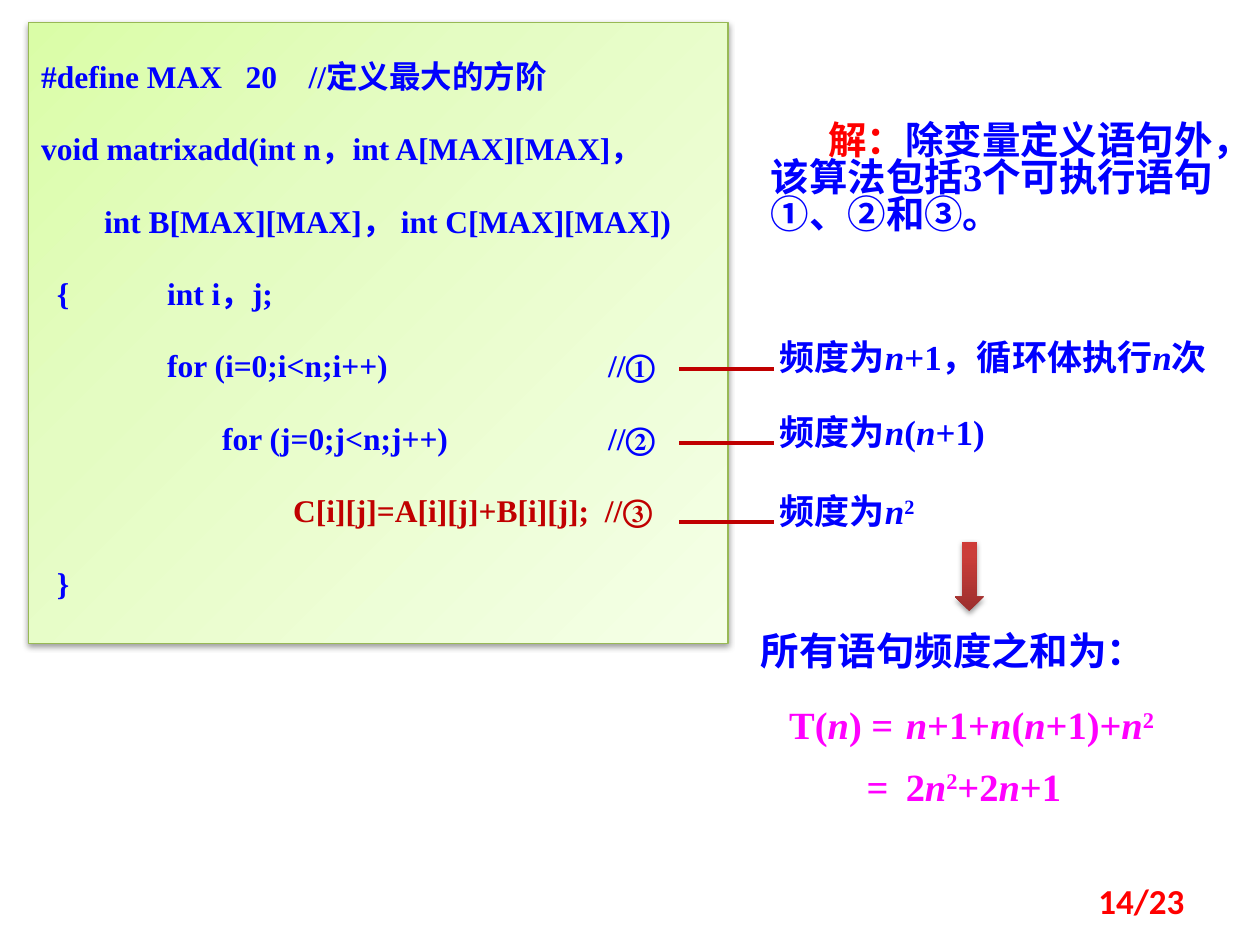
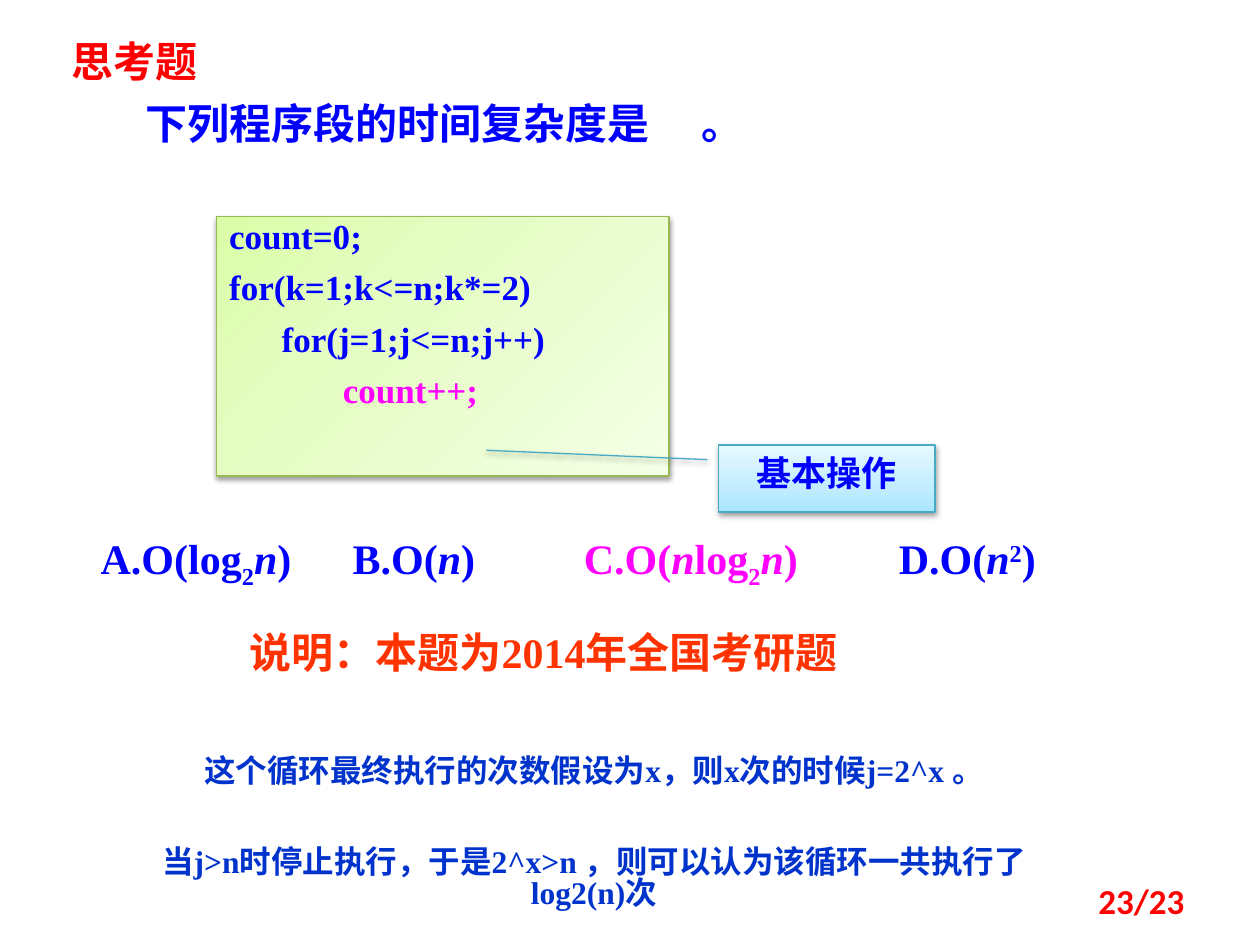
import copy
import itertools

import lxml.etree
import pptx
import pptx.dml.color
import pptx.enum.dml
import pptx.enum.shapes
import pptx.enum.text
import pptx.oxml.ns
import pptx.util

Cm = pptx.util.Cm
Pt = pptx.util.Pt
RGBColor = pptx.dml.color.RGBColor
MSO_SHAPE = pptx.enum.shapes.MSO_SHAPE
PP_ALIGN = pptx.enum.text.PP_ALIGN
MSO_ANCHOR = pptx.enum.text.MSO_ANCHOR
qn = pptx.oxml.ns.qn

BLUE = RGBColor(0x00, 0x00, 0xFF)
NAVY = RGBColor(0x00, 0x33, 0xCC)
RED = RGBColor(0xFF, 0x00, 0x00)
DARK_RED = RGBColor(0xC0, 0x00, 0x00)
ORANGE = RGBColor(0xFF, 0x33, 0x00)
MAGENTA = RGBColor(0xFF, 0x00, 0xFF)
PANEL_LINE = RGBColor(0x98, 0xB9, 0x55)
CALLOUT_LINE = RGBColor(0x46, 0xAA, 0xC5)
PANEL_STOPS = [(0, RGBColor(0xDA, 0xFD, 0xA7)), (0.35, RGBColor(0xE4, 0xFC, 0xC2)),
               (1, RGBColor(0xF5, 0xFF, 0xE7))]
CALLOUT_STOPS = [(0, RGBColor(0xA7, 0xE6, 0xFF)), (0.35, RGBColor(0xC1, 0xED, 0xFF)),
                 (1, RGBColor(0xE7, 0xF8, 0xFF))]
ARROW_STOPS = [(0, RGBColor(0x9C, 0x2F, 0x2D)), (0.8, RGBColor(0xCB, 0x3E, 0x3A)),
               (1, RGBColor(0xCE, 0x3B, 0x37))]

SERIF = "Times New Roman"
CJK = "Noto Sans CJK SC"
PAGE_COUNT = 23
CODE_TABS = [2.54 * step for step in range(1, 6)]
MATH_STYLES = {"n": {"italic": True}, "²": {"baseline": 30}, "₂": {"baseline": -25}}


def add_span(para, text, size=20, color=BLUE, font=SERIF, italic=False,
             underline=False, baseline=0):
    span = para.add_run()
    span.text = text
    span.font.size = Pt(size)
    span.font.bold = True
    span.font.color.rgb = color
    span.font.name = font
    if italic:
        span.font.italic = True
    if underline:
        span.font.underline = True
    properties = span.font._element
    if baseline:
        properties.set("baseline", str(baseline * 1000))
    lxml.etree.SubElement(properties, qn("a:ea"), typeface=CJK)


def add_math(para, text, **style):
    """Write a formula: n is italic, ² and ₂ become raised and lowered 2."""
    for mark, letters in itertools.groupby(text, lambda c: c if c in MATH_STYLES else ""):
        plain = "".join(letters).replace("²", "2").replace("₂", "2")
        add_span(para, plain, **style, **MATH_STYLES.get(mark, {}))


def add_para(box, text="", spacing=0.8, before=10, align=None, indent=0, tabs=(),
             write=add_span, **style):
    """Use the box's empty first paragraph, or append one with space before it."""
    frame = box.text_frame
    para = frame.paragraphs[0]
    if para.runs:
        para = frame.add_paragraph()
        para.space_before = Pt(before)
    else:
        para.space_before = Pt(0)
    para.line_spacing = spacing
    para.alignment = align or PP_ALIGN.LEFT
    properties = para._p.get_or_add_pPr()
    if indent:
        properties.set("marL", "0")
        properties.set("indent", str(Cm(indent)))
    if tabs:
        tab_list = lxml.etree.SubElement(properties, qn("a:tabLst"))
        for stop in tabs:
            lxml.etree.SubElement(tab_list, qn("a:tab"), pos=str(Cm(stop)), algn="l")
    if text:
        write(para, text, **style)
    return para


def prepare_frame(box, anchor=MSO_ANCHOR.TOP):
    box.text_frame.word_wrap = True
    box.text_frame.auto_size = pptx.enum.text.MSO_AUTO_SIZE.NONE
    box.text_frame.vertical_anchor = anchor


def add_box(page, left, top, width, height, anchor=MSO_ANCHOR.TOP):
    box = page.shapes.add_textbox(Cm(left), Cm(top), Cm(width), Cm(height))
    prepare_frame(box, anchor)
    return box


def add_gradient_shape(page, kind, left, top, width, height, stops, angle, line=None):
    """Add a softly shadowed shape; angle runs counter-clockwise."""
    shape = page.shapes.add_shape(kind, Cm(left), Cm(top), Cm(width), Cm(height))
    shape.fill.gradient()
    shape.fill.gradient_angle = angle
    stop_list = shape._element.spPr.find(qn("a:gradFill")).find(qn("a:gsLst"))
    stop_list.insert(1, copy.deepcopy(stop_list[0]))
    for stop, (position, color) in zip(shape.fill.gradient_stops, stops):
        stop.position = position
        stop.color.rgb = color
    if line is None:
        shape.line.fill.background()
    else:
        shape.line.color.rgb = line
        shape.line.width = Pt(0.75)
    shape.shadow.inherit = False
    effects = shape._element.spPr.find(qn("a:effectLst"))
    shadow = lxml.etree.SubElement(effects, qn("a:outerShdw"), blurRad=str(Pt(3.1)),
                                   dist=str(Pt(1.6)), dir="5400000", rotWithShape="0")
    black = lxml.etree.SubElement(shadow, qn("a:srgbClr"), val="000000")
    lxml.etree.SubElement(black, qn("a:alpha"), val="38000")
    prepare_frame(shape)
    return shape


def add_code_panel(page, left, top, width, height):
    return add_gradient_shape(page, MSO_SHAPE.RECTANGLE, left, top, width, height,
                              PANEL_STOPS, 315, PANEL_LINE)


def add_leader(page, left, right, y):
    leader = page.shapes.add_connector(pptx.enum.shapes.MSO_CONNECTOR.STRAIGHT,
                                       Cm(left), Cm(y), Cm(right), Cm(y))
    leader.line.color.rgb = DARK_RED
    leader.line.width = Pt(2.25)
    lxml.etree.SubElement(leader._element.spPr, qn("a:effectLst"))


def add_page_number(page, number):
    box = add_box(page, 18.21, 17.65, 5.92, 1.02, MSO_ANCHOR.MIDDLE)
    add_para(box, f"{number}/{PAGE_COUNT}", spacing=1.0, align=PP_ALIGN.RIGHT,
             color=RED, font="Calibri")


def build_matrix_page(deck):
    page = deck.slides.add_slide(deck.slide_layouts[6])
    panel = add_code_panel(page, 0.58, 0.46, 14.1, 12.52)
    panel.text_frame.margin_top = panel.text_frame.margin_bottom = Cm(0.3)
    code = [
        ("#define MAX   20    //定义最大的方阶", BLUE),
        ("void matrixadd(int n，int A[MAX][MAX]，", BLUE),
        ("        int B[MAX][MAX]， int C[MAX][MAX])", BLUE),
        ("  {\tint i，j;", BLUE),
        ("   \tfor (i=0;i<n;i++)\t\t        //①", BLUE),
        ("\t       for (j=0;j<n;j++)\t        //②", BLUE),
        ("\t\tC[i][j]=A[i][j]+B[i][j];  //③", DARK_RED),
        ("  }", BLUE),
    ]
    for text, color in code:
        add_para(panel, text, spacing=1.5, before=9, tabs=CODE_TABS, size=18, color=color)

    solution = add_box(page, 15.29, 2.39, 9.73, 3.35)
    para = add_para(solution, "解：", indent=1.16, size=22, color=RED)
    add_span(para, "除变量定义语句外，该算法包括3个可执行语句①、②和③。", size=22)

    frequencies = [(6.81, 9.73, "频度为n+1，循环体执行n次"),
                   (8.31, 5.77, "频度为n(n+1)"),
                   (9.91, 4.57, "频度为n²")]
    for top, width, text in frequencies:
        box = add_box(page, 15.47, top, width, 1.19)
        add_para(box, text, write=add_math)
        add_leader(page, 13.69, 15.6, top + 0.62)

    add_gradient_shape(page, MSO_SHAPE.DOWN_ARROW, 19.25, 10.92, 0.58, 1.4, ARROW_STOPS, 90)
    total = add_box(page, 15.09, 12.7, 7.54, 1.3)
    add_para(total, "所有语句频度之和为：", size=22)
    formula = add_box(page, 15.47, 14.1, 9.53, 2.44)
    for indent, text in [(0.19, "T(n) =\tn+1+n(n+1)+n²"), (1.75, "=\t2n²+2n+1")]:
        add_para(formula, text, spacing=Pt(24), before=11, indent=indent, tabs=[2.65],
                 write=add_math, size=22, color=MAGENTA)
    add_page_number(page, 14)


def build_question_page(deck):
    page = deck.slides.add_slide(deck.slide_layouts[5])
    title = page.shapes.title
    title.left, title.top, title.width, title.height = Cm(1.19), Cm(0.79), Cm(17.48), Cm(3.02)
    prepare_frame(title)
    add_para(title, "思考题", size=24, color=RED, font=CJK)
    question = add_para(title, "下列程序段的时间复杂度是", before=12, indent=1.48,
                        tabs=[13.41], size=24)
    add_span(question, "\t", size=24, underline=True)
    add_span(question, "。", size=24)

    options = add_box(page, 1.78, 10.72, 20.83, 1.3)
    para = add_para(options, tabs=[5.08, 9.74, 16.09])
    for text, color in [("A.O(log₂n)\tB.O(n)\t", BLUE), ("C.O(nlog₂n)\t", MAGENTA),
                        ("D.O(n²)", BLUE)]:
        add_math(para, text, size=24, color=color)

    panel = add_code_panel(page, 4.37, 4.37, 9.12, 5.23)
    for text, color in [("count=0;", BLUE), ("for(k=1;k<=n;k*=2)", BLUE),
                        ("      for(j=1;j<=n;j++)", BLUE),
                        ("             count++;", MAGENTA)]:
        add_para(panel, text, color=color)

    note = add_box(page, 3.76, 12.7, 14.4, 2.41)
    add_para(note, "说明：本题为2014年全国考研题", align=PP_ALIGN.CENTER, size=24, color=ORANGE)

    callout = add_gradient_shape(page, MSO_SHAPE.LINE_CALLOUT_2, 14.48, 8.97, 4.37, 1.35,
                                 CALLOUT_STOPS, 90, CALLOUT_LINE)
    for index, value in enumerate([0.22, -0.05, 0.22, -0.05, 0.08, -1.07]):
        callout.adjustments[index] = value
    add_para(callout, "基本操作", spacing=1.0, align=PP_ALIGN.CENTER, font=CJK)

    explanation = add_box(page, 2.64, 15.16, 18.67, 3.48)
    for text in ["这个循环最终执行的次数假设为x，则x次的时候j=2^x 。",
                 "当j>n时停止执行，于是2^x>n ，则可以认为该循环一共执行了log2(n)次"]:
        add_para(explanation, text, before=35, align=PP_ALIGN.CENTER, size=18, color=NAVY)
    add_page_number(page, 23)


def main():
    deck = pptx.Presentation()
    deck.slide_width, deck.slide_height = Cm(25.4), Cm(19.05)
    build_matrix_page(deck)
    build_question_page(deck)
    deck.save("out.pptx")


if __name__ == "__main__":
    main()
